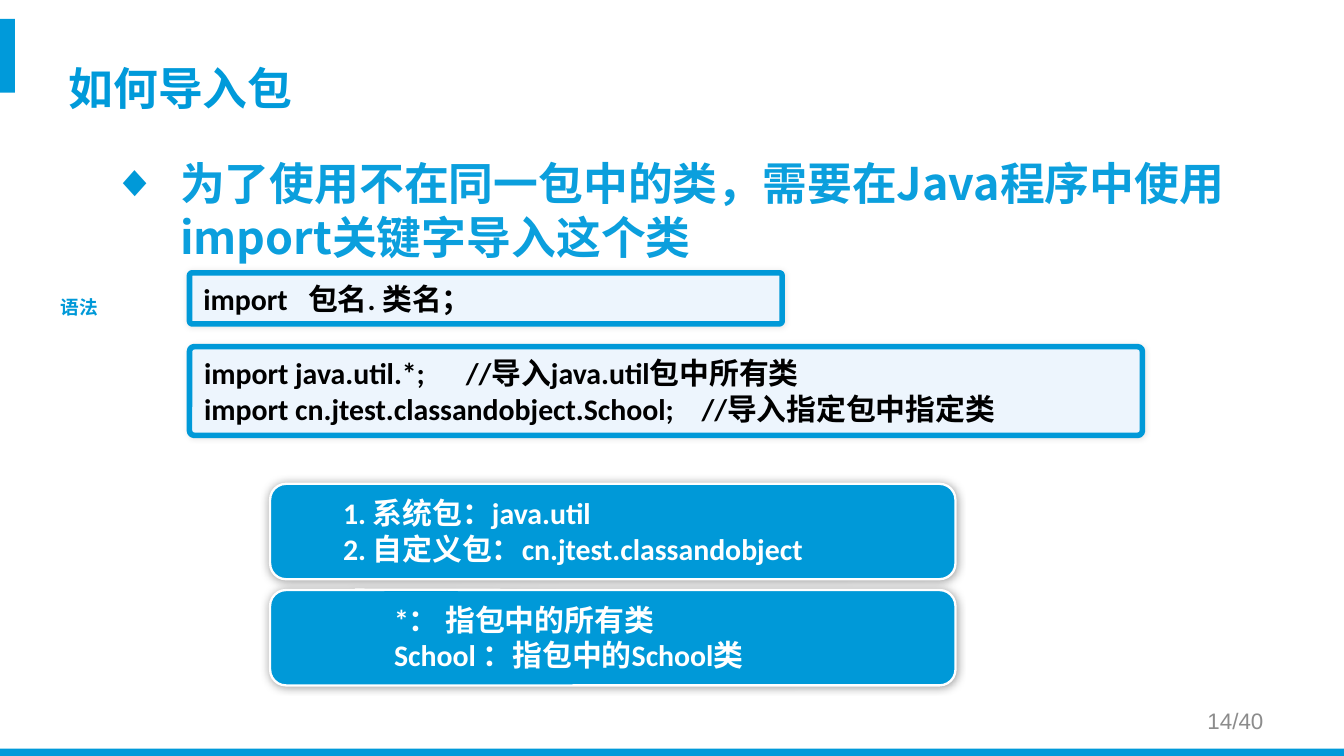
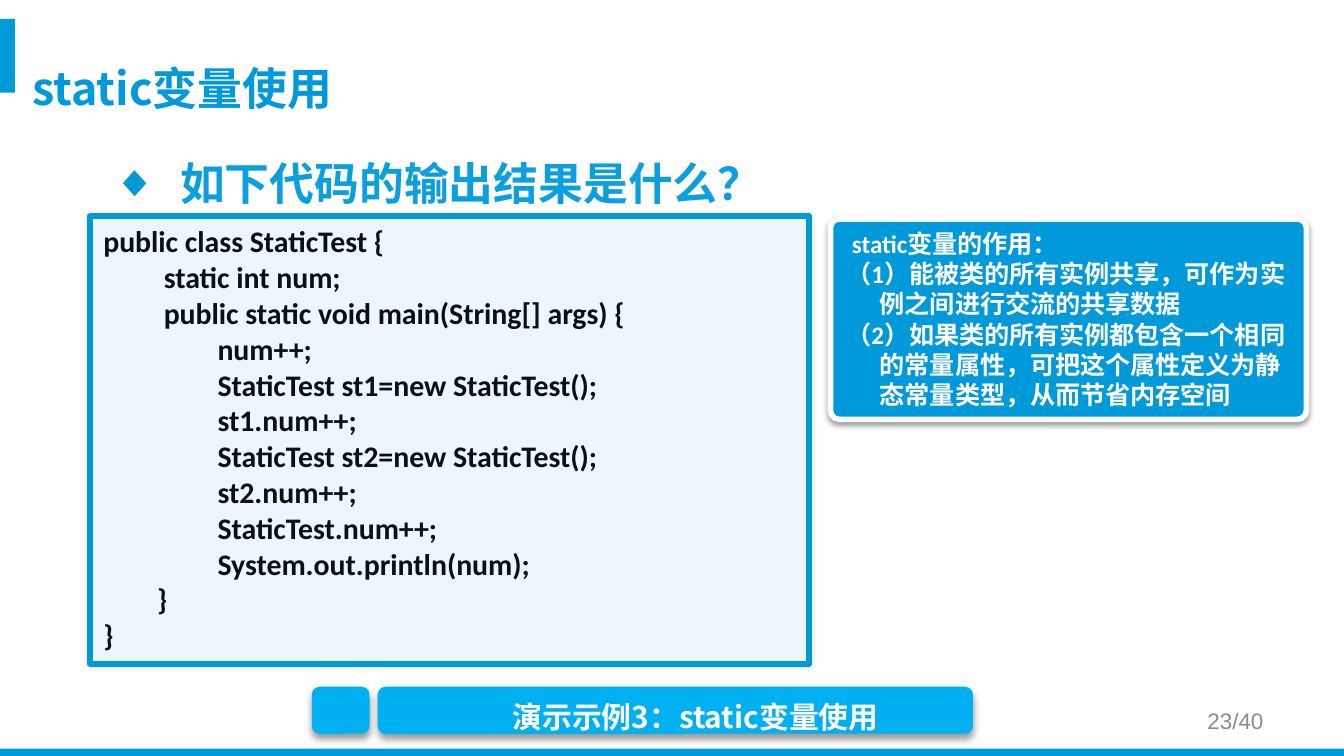
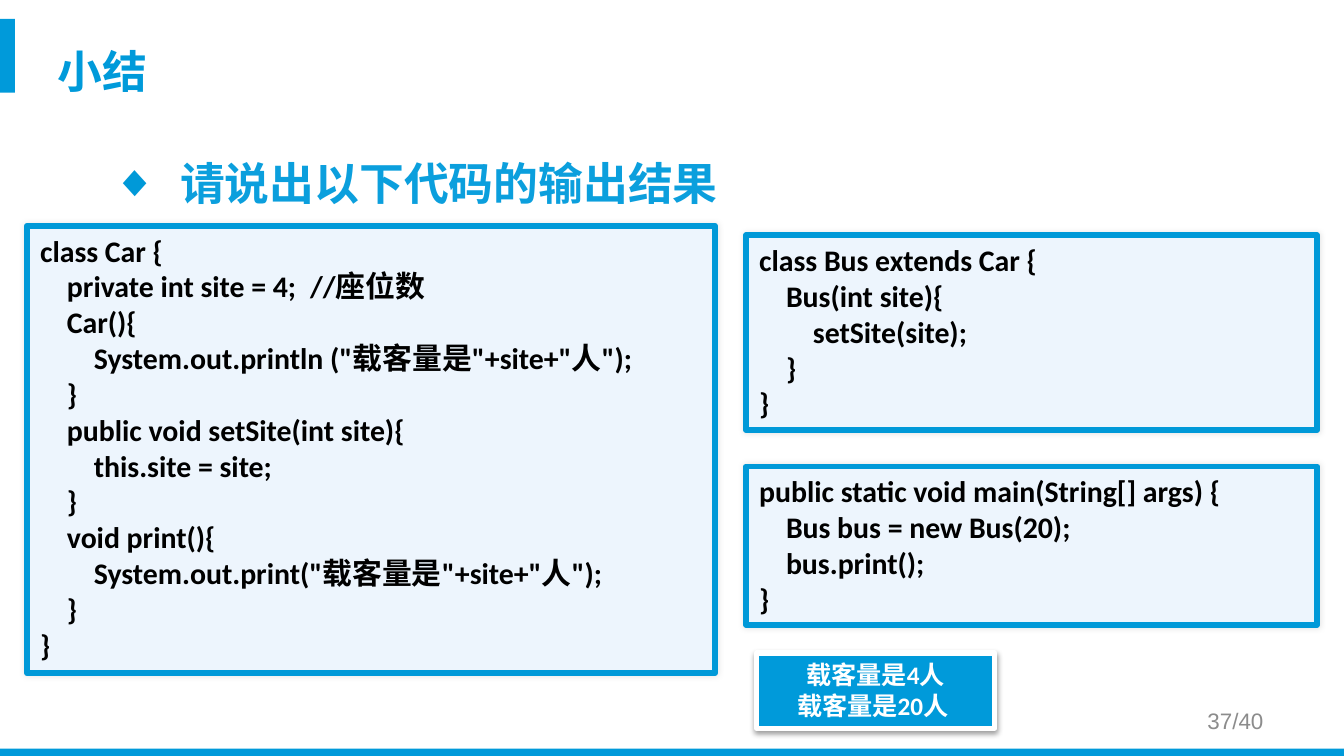
from pptx import Presentation
from pptx.dml.color import RGBColor as RGB
from pptx.enum.shapes import MSO_SHAPE as SHAPE
from pptx.enum.text import MSO_ANCHOR as ANCHOR, MSO_AUTO_SIZE as FIT, PP_ALIGN as ALIGN
from pptx.oxml.ns import qn
from pptx.util import Emu, Pt
from lxml.etree import SubElement as sub

PX = 9144  # one hundredth of an inch
BAND = RGB(0x00, 0x9A, 0xDA)
EDGE = RGB(0x00, 0x99, 0xD8)
LEAD = RGB(0x0B, 0x9F, 0xDD)
PALE = RGB(0xED, 0xF5, 0xFD)
DEMO = RGB(0x00, 0xB0, 0xF0)
GRAY = RGB(0x8C, 0x8C, 0x8C)
INK = RGB(0x07, 0x12, 0x15)
BLACK = RGB(0, 0, 0)
WHITE = RGB(0xFF, 0xFF, 0xFF)

CJK = "Noto Sans CJK SC"
PITCH = 1.2  # line height per point of text size
SPACE = 362  # width of a space in code, in hundredths of a point

HEAD = dict(name=CJK, size=24, bold=True, color=BAND)
BODY = dict(HEAD, color=LEAD)
CODE = dict(name="Calibri", size=16, bold=True, color=BLACK)
CALL = dict(CODE, color=WHITE)
NOTE = dict(CALL, size=13.5)
TAG = dict(name="Arial", size=10, bold=True, color=EDGE)
PAGE = dict(name="Arial", size=12, bold=False, color=GRAY)
TITLE = dict(name=CJK, size=16, bold=True, color=WHITE)

# Shadows: opacity in percent, blur and distance in points, angle in degrees
GLOW = (10, 3, 0, 0)
HALO = (40, 5, 0, 0)
DROP = (38, 3.1, 1.6, 90)
LIFT = (40, 4, 3, 90)

PANEL = dict(fill=PALE, line=EDGE, width=3, shade=GLOW)
CARD = dict(fill=BAND, line=WHITE, width=3, shade=DROP)
BUBBLE = dict(kind=SHAPE.ROUNDED_RECTANGULAR_CALLOUT, fill=EDGE, line=WHITE,
              width=1.25, shade=HALO)
BUTTON = dict(fill=DEMO, shade=LIFT, adj=(0.167,))


def px(box):
    return [Emu(n * PX) for n in box]


def apply(obj, values):
    for key, val in values.items():
        setattr(obj, key, val)


def place(shape, box):
    apply(shape, dict(zip(("left", "top", "width", "height"), px(box))))


def add_run(para, text, style, gap=1):
    """Add a run; a gap above one spreads a space to that many."""
    run = para.add_run()
    run.text = text
    apply(run.font, dict(name=style["name"], size=Pt(style["size"]),
                         bold=style["bold"]))
    run.font.color.rgb = style["color"]
    props = run.font._element
    sub(props, qn("a:ea"), typeface=CJK)
    if gap > 1:
        props.set("spc", str((gap - 1) * SPACE))


def write(frame, lines, style, align=ALIGN.LEFT, hang=0, wrap=True, **opts):
    """Fill a frame; a line is text, (indent, text) or (indent, text, gap, text)."""
    apply(frame, dict(word_wrap=wrap, auto_size=FIT.NONE,
                      vertical_anchor=ANCHOR.TOP) | opts)
    for i, line in enumerate(lines):
        left, text, *rest = (0, line) if isinstance(line, str) else line
        para = frame.paragraphs[0] if i == 0 else frame.add_paragraph()
        apply(para, dict(alignment=align, line_spacing=Pt(style["size"] * PITCH)))
        props = para._p.get_or_add_pPr()
        props.set("marL", str((left + hang) * PX))
        props.set("indent", str(-hang * PX))
        add_run(para, text, style)
        if rest:
            gap, tail = rest
            add_run(para, " ", style, gap)
            add_run(para, tail, style)


def cast(shape, shade):
    """Give the shape its own shadow, or none."""
    shape.shadow.inherit = False
    if shade:
        alpha, blur, dist, angle = shade
        effects = shape.element.spPr.find(qn("a:effectLst"))
        outer = sub(effects, qn("a:outerShdw"), blurRad=str(Pt(blur)),
                    dist=str(Pt(dist)), dir=str(angle * 60000),
                    algn="ctr", rotWithShape="0")
        tint = sub(outer, qn("a:srgbClr"), val=str(BLACK))
        sub(tint, qn("a:alpha"), val=str(alpha * 1000))


def block(slide, box, kind=SHAPE.ROUNDED_RECTANGLE, fill=BAND, line=None,
          width=1, shade=None, adj=()):
    shape = slide.shapes.add_shape(kind, *px(box))
    shape.fill.solid()
    shape.fill.fore_color.rgb = fill
    if line is None:
        shape.line.fill.background()
    else:
        shape.line.color.rgb = line
        shape.line.width = Pt(width)
    for i, val in enumerate(adj):
        shape.adjustments[i] = val
    cast(shape, shade)
    return shape


def label(slide, box, text, style, **opts):
    write(slide.shapes.add_textbox(*px(box)).text_frame, [text], style, **opts)


def panel(slide, box, lines, style=CODE, adj=0):
    write(block(slide, box, adj=(adj,), **PANEL).text_frame, lines, style)


def card(slide, box, lines, adj, align=ALIGN.LEFT):
    shape = block(slide, box, adj=(adj,), **CARD)
    write(shape.text_frame, lines, NOTE, align=align, hang=25)


def bubble(slide, box, lines, tip, indent):
    shape = block(slide, box, adj=(*tip, 0.167), **BUBBLE)
    write(shape.text_frame, [(indent, text) for text in lines], CALL)


def demo(slide, box, text):
    """Square button, then a wide one with its caption."""
    left, top, width, height = box
    block(slide, (left, top, 43, height), **BUTTON)
    block(slide, (left + 49, top, width - 49, height), **BUTTON)
    label(slide, (left + 74, top + 4, width - 74, 37), text, TITLE,
          align=ALIGN.CENTER, wrap=False)


def bands(prs, slide):
    """Move the side and bottom bands to the master, behind everything."""
    tree = prs.slide_master.element.cSld.spTree
    for i, box in enumerate([(-1, 14, 12, 55), (-1, 557, 1001, 8)]):
        bar = block(slide, box, kind=SHAPE.RECTANGLE)
        bar.element.nvSpPr.cNvPr.id = 20 + i
        tree.insert(2 + i, bar.element)


def page(prs, title, point, number, left, top=21):
    """Add a slide with title, bulleted point and page number."""
    slide = prs.slides.add_slide(prs.slide_layouts[1])
    head, body = slide.placeholders
    place(head, (left, top, 900, 94))
    write(head.text_frame, [title], HEAD, vertical_anchor=ANCHOR.MIDDLE,
          margin_left=0, margin_top=0)
    place(body, (74, 111, 849, 371))
    write(body.text_frame, [point], BODY, hang=50)
    props = body.text_frame.paragraphs[0]._p.pPr
    sub(sub(props, qn("a:buClr")), qn("a:srgbClr"), val=str(EDGE))
    sub(props, qn("a:buChar"), char="◆")
    label(slide, (717, 521, 233, 30), f"{number}/40", PAGE,
          align=ALIGN.RIGHT, vertical_anchor=ANCHOR.MIDDLE)
    return slide


def imports(prs):
    slide = page(prs, "如何导入包",
                 "为了使用不在同一包中的类，需要在Java程序中使用import关键字导入这个类",
                 14, left=51)
    bands(prs, slide)
    bubble(slide, (201, 360, 510, 71),
           ["1. 系统包：java.util", "2. 自定义包：cn.jtest.classandobject"],
           (0.247, -0.502), 41)
    bubble(slide, (201, 439, 510, 71),
           ["*： 指包中的所有类", "School ：指包中的School类"],
           (-0.376, -0.504), 79)
    panel(slide, (141, 203, 441, 38), [(0, "import", 3, "包名. 类名；")], adj=0.053)
    panel(slide, (141, 258, 709, 66), [
        (0, "import java.util.*;", 6, "//导入java.util包中所有类"),
        (0, "import cn.jtest.classandobject.School;", 4, "//导入指定包中指定类"),
    ], adj=0.053)
    label(slide, (35, 215, 48, 27), "语法", TAG, align=ALIGN.CENTER, wrap=False)


def statics(prs):
    slide = page(prs, "static变量使用", "如下代码的输出结果是什么？", 23, left=24)
    steps = ["num++;", "StaticTest st1=new StaticTest();", "st1.num++;",
             "StaticTest st2=new StaticTest();", "st2.num++;",
             "StaticTest.num++;", "System.out.println(num);"]
    panel(slide, (67, 161, 535, 333), [
        "public class StaticTest {",
        (45, "static int num;"),
        (45, "public static void main(String[] args) {"),
        *[(85, step) for step in steps],
        (40, "}"),
        "}",
    ], style=dict(CODE, color=INK))
    card(slide, (618, 163, 354, 149), [
        " static变量的作用：",
        "（1）能被类的所有实例共享，可作为实例之间进行交流的共享数据",
        "（2）如果类的所有实例都包含一个相同的常量属性，可把这个属性定义为静态常量类型，从而节省内存空间",
    ], adj=0.043)
    demo(slide, (232, 511, 492, 35), " 演示示例3：static变量使用")


def summary(prs):
    slide = page(prs, "小结", "请说出以下代码的输出结果", 37, left=43, top=8)
    panel(slide, (20, 168, 512, 333), [
        "class Car {",
        (20, "private int site = 4;", 2, "//座位数"),
        (20, "Car(){"),
        (40, 'System.out.println ("载客量是"+site+"人");'),
        (20, "}"),
        (20, "public void setSite(int site){"),
        (40, "this.site = site;"),
        (20, "}"),
        (20, "void print(){"),
        (40, 'System.out.print("载客量是"+site+"人");'),
        (20, "}"),
        "}",
    ])
    panel(slide, (555, 175, 425, 145), [
        "class Bus extends Car {",
        (20, "Bus(int site){"),
        (40, "setSite(site);"),
        (20, "}"),
        "}",
    ])
    panel(slide, (555, 347, 425, 118), [
        "public static void main(String[] args) {",
        (20, "Bus bus = new Bus(20);"),
        (20, "bus.print();"),
        "}",
    ])
    card(slide, (563, 486, 177, 56), ["载客量是4人", "载客量是20人 "],
         adj=0, align=ALIGN.CENTER)


def main():
    prs = Presentation()
    prs.slide_width = Emu(1000 * PX)
    prs.slide_height = Emu(prs.slide_width * 9 // 16)
    for build in (imports, statics, summary):
        build(prs)
    prs.save("out.pptx")


if __name__ == "__main__":
    main()
